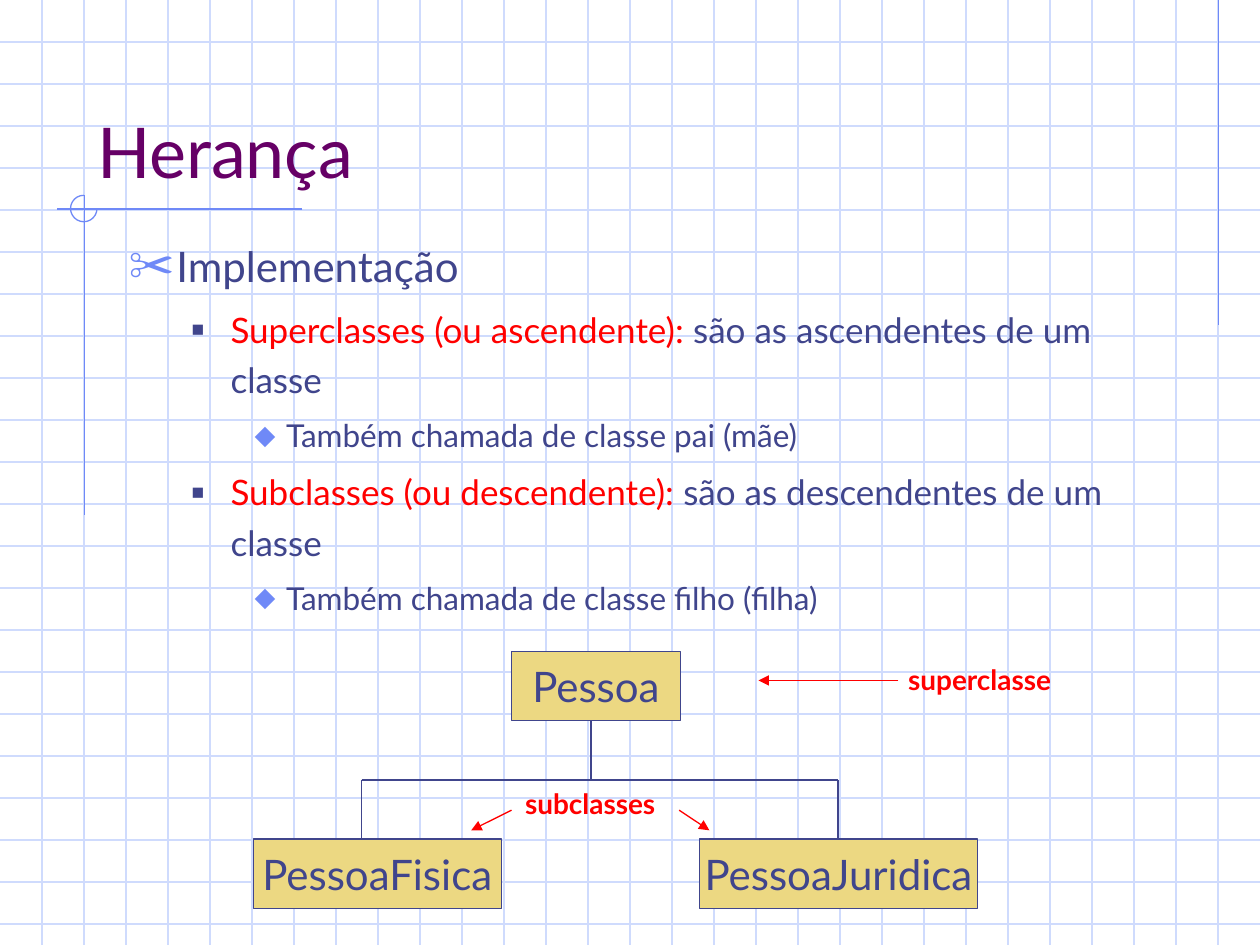
"""Build the slide on class inheritance with its small class tree."""
import dataclasses

import lxml.etree
import pptx
import pptx.dml.color
import pptx.enum.shapes
import pptx.enum.text
import pptx.oxml.ns
import pptx.util

Inches = pptx.util.Inches
Align = pptx.enum.text.PP_ALIGN
Anchor = pptx.enum.text.MSO_ANCHOR
Fit = pptx.enum.text.MSO_AUTO_SIZE
Preset = pptx.enum.shapes.MSO_SHAPE


@dataclasses.dataclass(frozen=True)
class Theme:
    font: str = "Lato"
    ink: str = "40458C"
    red: str = "FF0000"
    plum: str = "660066"
    blue: str = "6F89F7"
    pale: str = "CFDBFD"
    sand: str = "ECD882"
    head: float = 40
    name: float = 24
    tag: float = 16
    rule: float = 0.75


THEME = Theme()


@dataclasses.dataclass(frozen=True)
class Level:
    left: float
    hang: float
    size: float
    space: float
    mark: str
    color: str
    scale: int


@dataclasses.dataclass(frozen=True)
class Item:
    level: int
    text: str
    lead: str = ""


@dataclasses.dataclass(frozen=True)
class Line:
    x1: float
    y1: float
    x2: float
    y2: float
    color: str = THEME.ink
    arrow: bool = False


@dataclasses.dataclass(frozen=True)
class Box:
    text: str
    left: float
    top: float
    width: float
    height: float


LEVELS = [
    Level(0.38, 0.38, 24, 0, "✂", THEME.blue, 110),
    Level(0.81, 0.31, 20, 5, "■", THEME.ink, 60),
    Level(1.25, 0.25, 18, 4.5, "⬥", THEME.blue, 95),
]
ITEMS = [
    Item(0, "Implementação"),
    Item(1, " são as ascendentes de um classe", "Superclasses (ou ascendente):"),
    Item(2, "Também chamada de classe pai (mãe)"),
    Item(1, " são as descendentes de um classe", "Subclasses (ou descendente):"),
    Item(2, "Também chamada de classe filho (filha)"),
]
GRID = [Line(0, n / 3, 10, n / 3, THEME.pale) for n in range(1, 23)] + [
    Line(n / 3, 0, n / 3, 7.5, THEME.pale) for n in range(1, 30)
]
TRIM = [
    Line(9.67, 0, 9.67, 2.58, THEME.blue),
    Line(2.4, 1.66, 0.45, 1.66, THEME.blue),
    Line(0.67, 1.55, 0.67, 4.09, THEME.blue),
]
NODES = [
    Box("Pessoa", 4.06, 5.17, 1.34, 0.55),
    Box("PessoaFisica", 2.01, 6.66, 1.97, 0.55),
    Box("PessoaJuridica", 5.55, 6.66, 2.21, 0.55),
]
LINKS = [
    Line(2.87, 6.19, 6.65, 6.19),
    Line(2.87, 6.19, 2.87, 6.66),
    Line(6.65, 6.19, 6.65, 6.66),
    Line(4.69, 5.72, 4.69, 6.19),
]
TAGS = [
    Box("superclasse", 7.11, 5.21, 1.49, 0.37),
    Box("subclasses", 4.07, 6.19, 1.37, 0.37),
]
ARROWS = [
    Line(7.13, 5.4, 6.02, 5.4, THEME.red, True),
    Line(4.06, 6.43, 3.74, 6.59, THEME.red, True),
    Line(5.39, 6.43, 5.63, 6.59, THEME.red, True),
]


def tint(code: str) -> pptx.dml.color.RGBColor:
    """Turn a hex code into a colour."""
    return pptx.dml.color.RGBColor.from_string(code)


def add_tag(owner, name: str, **values: str):
    """Append a DrawingML element to its owner."""
    node = lxml.etree.SubElement(owner, pptx.oxml.ns.qn(name))
    for key, value in values.items():
        node.set(key, value)
    return node


def add_run(para, text: str, size: float, color: str, bold: bool = False) -> None:
    """Add one formatted run to a paragraph."""
    run = para.add_run()
    run.text = text
    run.font.name = THEME.font
    run.font.size = pptx.util.Pt(size)
    run.font.bold = bold
    run.font.color.rgb = tint(color)


def stroke(line, color: str) -> None:
    """Set the colour and width of an outline."""
    line.color.rgb = tint(color)
    line.width = pptx.util.Pt(THEME.rule)


def draw_line(slide, line: Line) -> None:
    """Draw a straight line, with an arrowhead if asked."""
    ends = [Inches(n) for n in (line.x1, line.y1, line.x2, line.y2)]
    kind = pptx.enum.shapes.MSO_CONNECTOR.STRAIGHT
    shape = slide.shapes.add_connector(kind, *ends)
    stroke(shape.line, line.color)
    if line.arrow:
        add_tag(shape.line._get_or_add_ln(), "a:tailEnd", type="triangle")
    add_tag(shape.element.spPr, "a:effectLst")


def draw_arc(slide) -> None:
    """Draw the open ring where the trim lines cross."""
    arc = slide.shapes.add_shape(
        Preset.ARC, Inches(0.56), Inches(1.55), Inches(0.21), Inches(0.21)
    )
    arc.adjustments[0] = 0
    arc.adjustments[1] = 162
    arc.shadow.inherit = False
    arc.fill.background()
    stroke(arc.line, THEME.blue)


def place(shape, left: float, top: float, width: float, height: float) -> None:
    """Move and size a shape, bringing it to the front."""
    shape.left, shape.top = Inches(left), Inches(top)
    shape.width, shape.height = Inches(width), Inches(height)
    shape.element.getparent().append(shape.element)


def draw_node(slide, box: Box) -> None:
    """Draw one class of the tree."""
    spot = [Inches(n) for n in (box.left, box.top, box.width, box.height)]
    shape = slide.shapes.add_shape(Preset.RECTANGLE, *spot)
    shape.shadow.inherit = False
    shape.fill.solid()
    shape.fill.fore_color.rgb = tint(THEME.sand)
    stroke(shape.line, THEME.ink)
    frame = shape.text_frame
    frame.word_wrap = False
    frame.vertical_anchor = Anchor.MIDDLE
    frame.paragraphs[0].alignment = Align.CENTER
    add_run(frame.paragraphs[0], box.text, THEME.name, THEME.ink)


def draw_tag(slide, box: Box) -> None:
    """Draw one red label."""
    spot = [Inches(n) for n in (box.left, box.top, box.width, box.height)]
    frame = slide.shapes.add_textbox(*spot).text_frame
    frame.word_wrap = False
    frame.auto_size = Fit.SHAPE_TO_FIT_TEXT
    add_run(frame.paragraphs[0], box.text, THEME.tag, THEME.red, True)


def fill_title(shape) -> None:
    """Place and write the title."""
    place(shape, 0.67, 0.33, 8.5, 1.25)
    frame = shape.text_frame
    frame.auto_size = Fit.NONE
    frame.vertical_anchor = Anchor.BOTTOM
    frame.paragraphs[0].alignment = Align.LEFT
    add_run(frame.paragraphs[0], "Herança", THEME.head, THEME.plum)


def fill_body(shape) -> None:
    """Place and write the bulleted list."""
    place(shape, 0.92, 1.78, 8.5, 4.5)
    frame = shape.text_frame
    frame.auto_size = Fit.NONE
    for rank, item in enumerate(ITEMS):
        para = frame.add_paragraph() if rank else frame.paragraphs[0]
        look = LEVELS[item.level]
        props = para._p.get_or_add_pPr()
        props.set("marL", str(Inches(look.left)))
        props.set("indent", str(-Inches(look.hang)))
        add_tag(add_tag(props, "a:buClr"), "a:srgbClr", val=look.color)
        add_tag(props, "a:buSzPct", val=str(look.scale * 1000))
        add_tag(props, "a:buChar", char=look.mark)
        para.level = item.level
        para.line_spacing = 1.2
        para.space_before = pptx.util.Pt(look.space)
        if item.lead:
            add_run(para, item.lead, look.size, THEME.red)
        add_run(para, item.text, look.size, THEME.ink)


def main() -> None:
    """Build and save the slide."""
    deck = pptx.Presentation()
    deck.slide_width, deck.slide_height = Inches(10), Inches(7.5)
    slide = deck.slides.add_slide(deck.slide_layouts[1])
    for line in GRID + TRIM:
        draw_line(slide, line)
    draw_arc(slide)
    fill_title(slide.shapes.title)
    fill_body(slide.placeholders[1])
    for box in NODES:
        draw_node(slide, box)
    for line in LINKS:
        draw_line(slide, line)
    for box in TAGS:
        draw_tag(slide, box)
    for line in ARROWS:
        draw_line(slide, line)
    deck.save("out.pptx")


if __name__ == "__main__":
    main()
